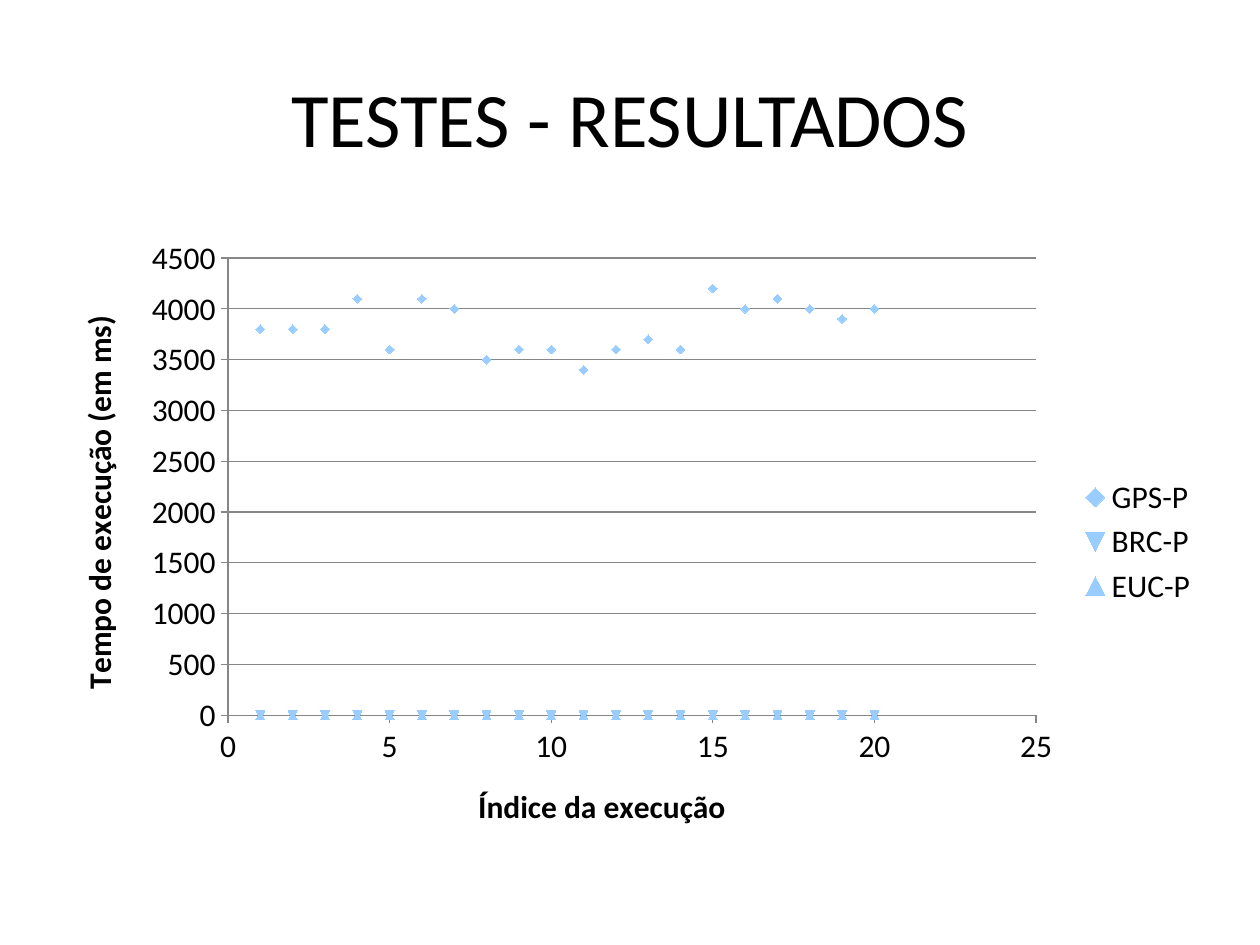
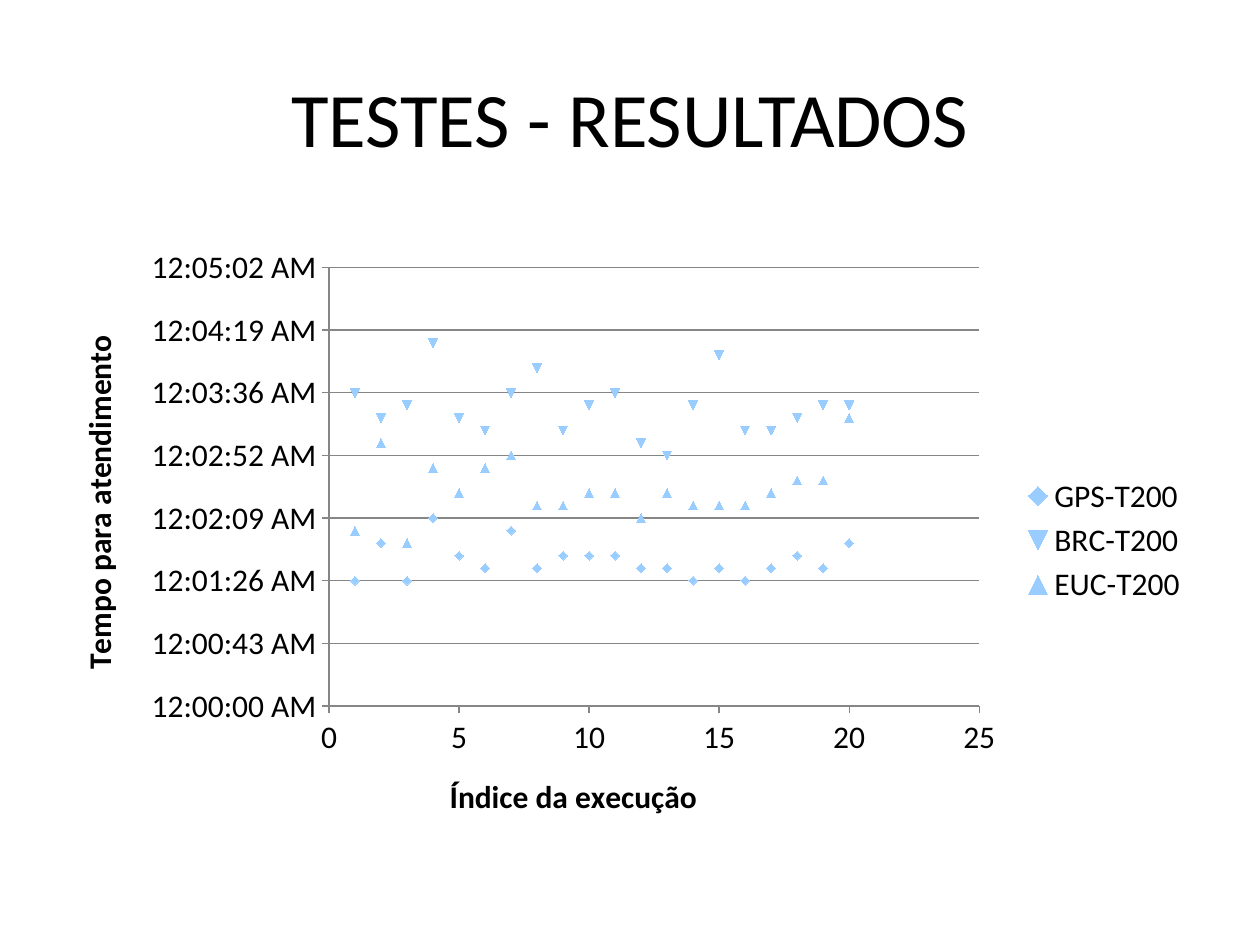
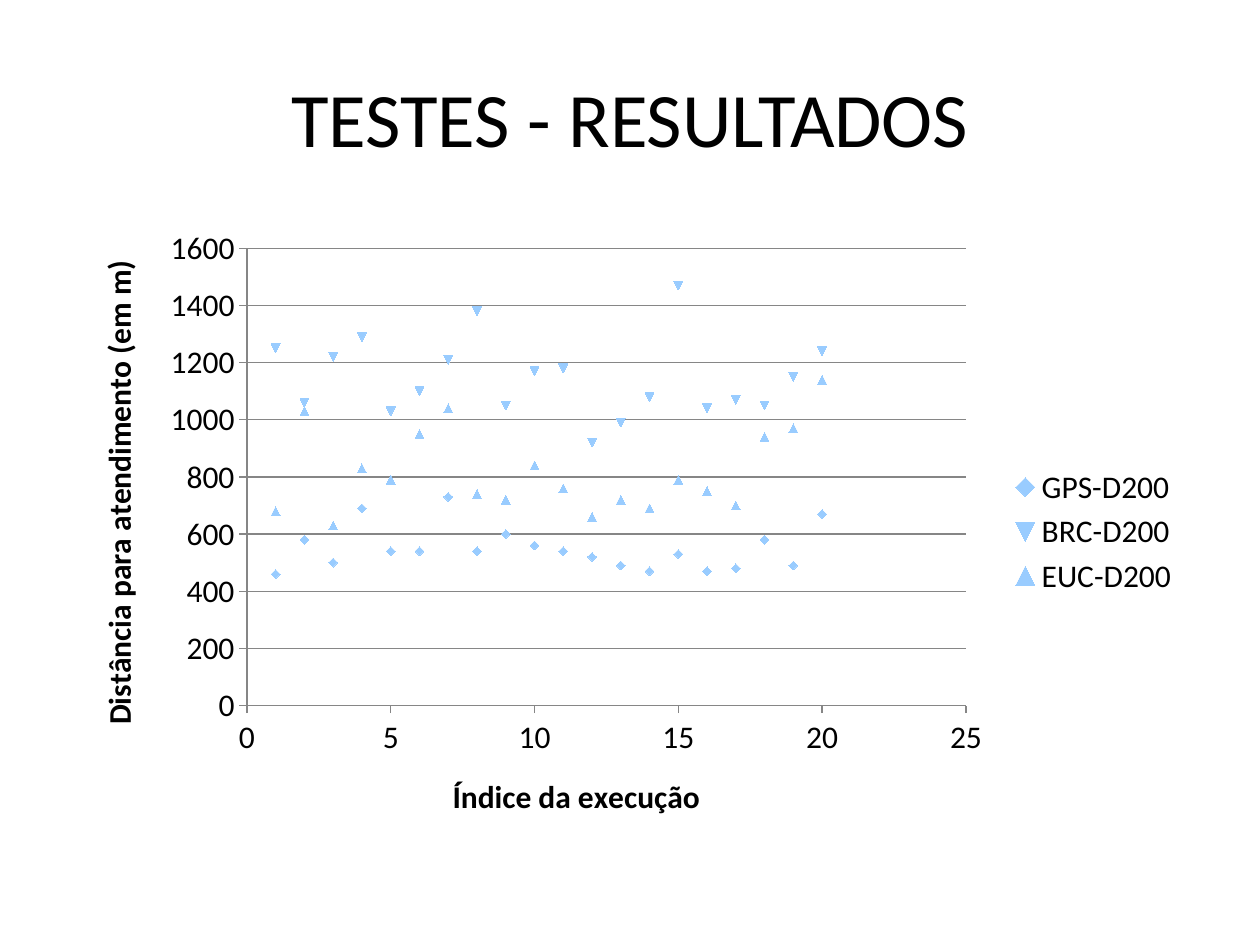
from dataclasses import dataclass

from lxml.etree import SubElement
from pptx import Presentation
from pptx.chart.chart import Chart
from pptx.chart.data import XyChartData
from pptx.dml.color import RGBColor as RGB
from pptx.enum.chart import XL_CHART_TYPE as ChartType
from pptx.enum.chart import XL_LEGEND_POSITION as LegendPos
from pptx.enum.chart import XL_TICK_MARK as TickMark
from pptx.enum.text import MSO_ANCHOR as Anchor
from pptx.enum.text import PP_ALIGN as Align
from pptx.oxml.ns import qn
from pptx.util import Pt


@dataclass(frozen=True)
class Theme:
    font: str = "Calibri"
    text: RGB = RGB(0, 0, 0)
    rule: RGB = RGB(0x86, 0x86, 0x86)
    title_size: int = 44
    chart_size: int = 18
    rule_width: float = 0.75


@dataclass(frozen=True)
class Box:
    left: float
    top: float
    width: float
    height: float


@dataclass(frozen=True)
class Result:
    frame: Box
    plot: Box
    measure: str
    maximum: float
    step: float
    number_format: str
    series: dict[str, list[float]]


THEME = Theme()
TITLE = "TESTES - RESULTADOS"
TITLE_BOX = Box(36, 21.6, 648, 90)
RUN_LABEL = "Índice da execução"
RUNS = 20

RESULTS = [
    Result(
        Box(28, 129.6, 664, 360), Box(130.3, 147.5, 461.8, 261.3),
        "Tempo de execução (em ms)", 4500, 500, "General",
        {
            "GPS-P": [3800, 3800, 3800, 4100, 3600, 4100, 4000, 3500, 3600, 3600,
                      3400, 3600, 3700, 3600, 4200, 4000, 4100, 4000, 3900, 4000],
            "BRC-P": [0] * RUNS,
            "EUC-P": [0] * RUNS,
        },
    ),
    Result(
        Box(28, 134.6, 658, 348.5), Box(188, 152.9, 371.6, 250.6),
        "Tempo para atendimento", 0.0035, 0.0005, "[$-409]h:mm:ss AM/PM",
        {
            "GPS-T200": [0.001, 0.0013, 0.001, 0.0015, 0.0012, 0.0011, 0.0014,
                         0.0011, 0.0012, 0.0012, 0.0012, 0.0011, 0.0011, 0.001,
                         0.0011, 0.001, 0.0011, 0.0012, 0.0011, 0.0013],
            "BRC-T200": [0.0025, 0.0023, 0.0024, 0.0029, 0.0023, 0.0022, 0.0025,
                         0.0027, 0.0022, 0.0024, 0.0025, 0.0021, 0.002, 0.0024,
                         0.0028, 0.0022, 0.0022, 0.0023, 0.0024, 0.0024],
            "EUC-T200": [0.0014, 0.0021, 0.0013, 0.0019, 0.0017, 0.0019, 0.002,
                         0.0016, 0.0016, 0.0017, 0.0017, 0.0015, 0.0017, 0.0016,
                         0.0016, 0.0016, 0.0017, 0.0018, 0.0018, 0.0023],
        },
    ),
    Result(
        Box(39.6, 123.8, 641.5, 360), Box(141.1, 141.9, 410.9, 261.4),
        "Distância para atendimento (em m)", 1600, 200, "General",
        {
            "GPS-D200": [460, 580, 500, 690, 540, 540, 730, 540, 600, 560,
                         540, 520, 490, 470, 530, 470, 480, 580, 490, 670],
            "BRC-D200": [1250, 1060, 1220, 1290, 1030, 1100, 1210, 1380, 1050, 1170,
                         1180, 920, 990, 1080, 1470, 1040, 1070, 1050, 1150, 1240],
            "EUC-D200": [680, 1030, 630, 830, 790, 950, 1040, 740, 720, 840,
                         760, 660, 720, 690, 790, 750, 700, 940, 970, 1140],
        },
    ),
]


def points(box: Box) -> tuple:
    return Pt(box.left), Pt(box.top), Pt(box.width), Pt(box.height)


def style_font(font, size: int, bold: bool = False) -> None:
    font.name = THEME.font
    font.size = Pt(size)
    font.bold = bold
    font.color.rgb = THEME.text


def style_line(line) -> None:
    line.color.rgb = THEME.rule
    line.width = Pt(THEME.rule_width)


def add_title(s) -> None:
    sp = s.shapes.title
    sp.left, sp.top, sp.width, sp.height = points(TITLE_BOX)
    tf = sp.text_frame
    tf.vertical_anchor = Anchor.MIDDLE
    p = tf.paragraphs[0]
    p.alignment = Align.CENTER
    r = p.add_run()
    r.text = TITLE
    style_font(r.font, THEME.title_size)


def style_axis(axis, label: str, maximum: float, step: float, number_format: str,
               grid: bool) -> None:
    axis.minimum_scale = 0
    axis.maximum_scale = maximum
    axis.major_unit = step
    axis.major_tick_mark = TickMark.OUTSIDE
    axis.minor_tick_mark = TickMark.NONE
    axis.tick_labels.number_format = number_format
    axis.tick_labels.number_format_is_linked = False
    style_line(axis.format.line)
    axis.has_major_gridlines = grid
    if grid:
        style_line(axis.major_gridlines.format.line)
    r = axis.axis_title.text_frame.paragraphs[0].add_run()
    r.text = label
    style_font(r.font, THEME.chart_size, bold=True)


def place_plot(chart: Chart, frame: Box, plot: Box) -> None:
    area = chart.element.find(".//" + qn("c:plotArea"))
    for old in area.findall(qn("c:layout")):
        area.remove(old)
    layout = SubElement(area, qn("c:layout"))
    area.insert(0, layout)
    manual = SubElement(layout, qn("c:manualLayout"))
    settings = {
        "layoutTarget": "inner",
        "xMode": "edge",
        "yMode": "edge",
        "x": (plot.left - frame.left) / frame.width,
        "y": (plot.top - frame.top) / frame.height,
        "w": plot.width / frame.width,
        "h": plot.height / frame.height,
    }
    for tag, value in settings.items():
        SubElement(manual, qn(f"c:{tag}")).set("val", str(value))


def add_scatter(s, result: Result) -> None:
    data = XyChartData(number_format=result.number_format)
    for name, values in result.series.items():
        series = data.add_series(name)
        for run, value in enumerate(values, start=1):
            series.add_data_point(run, value)
    chart = s.shapes.add_chart(ChartType.XY_SCATTER, *points(result.frame), data).chart
    chart.has_title = False
    style_font(chart.font, THEME.chart_size)
    chart.has_legend = True
    chart.legend.position = LegendPos.RIGHT
    chart.legend.include_in_layout = False
    plot = chart.plots[0]
    plot.vary_by_categories = False
    for series in plot.series:
        series.smooth = False
        series.format.line.fill.background()
    style_axis(chart.category_axis, RUN_LABEL, 25, 5, "General", grid=False)
    style_axis(chart.value_axis, result.measure, result.maximum, result.step,
               result.number_format, grid=True)
    place_plot(chart, result.frame, result.plot)


def main() -> None:
    prs = Presentation()
    prs.slide_width, prs.slide_height = Pt(720), Pt(540)
    for result in RESULTS:
        s = prs.slides.add_slide(prs.slide_layouts[5])
        add_title(s)
        add_scatter(s, result)
    prs.save("out.pptx")


if __name__ == "__main__":
    main()
